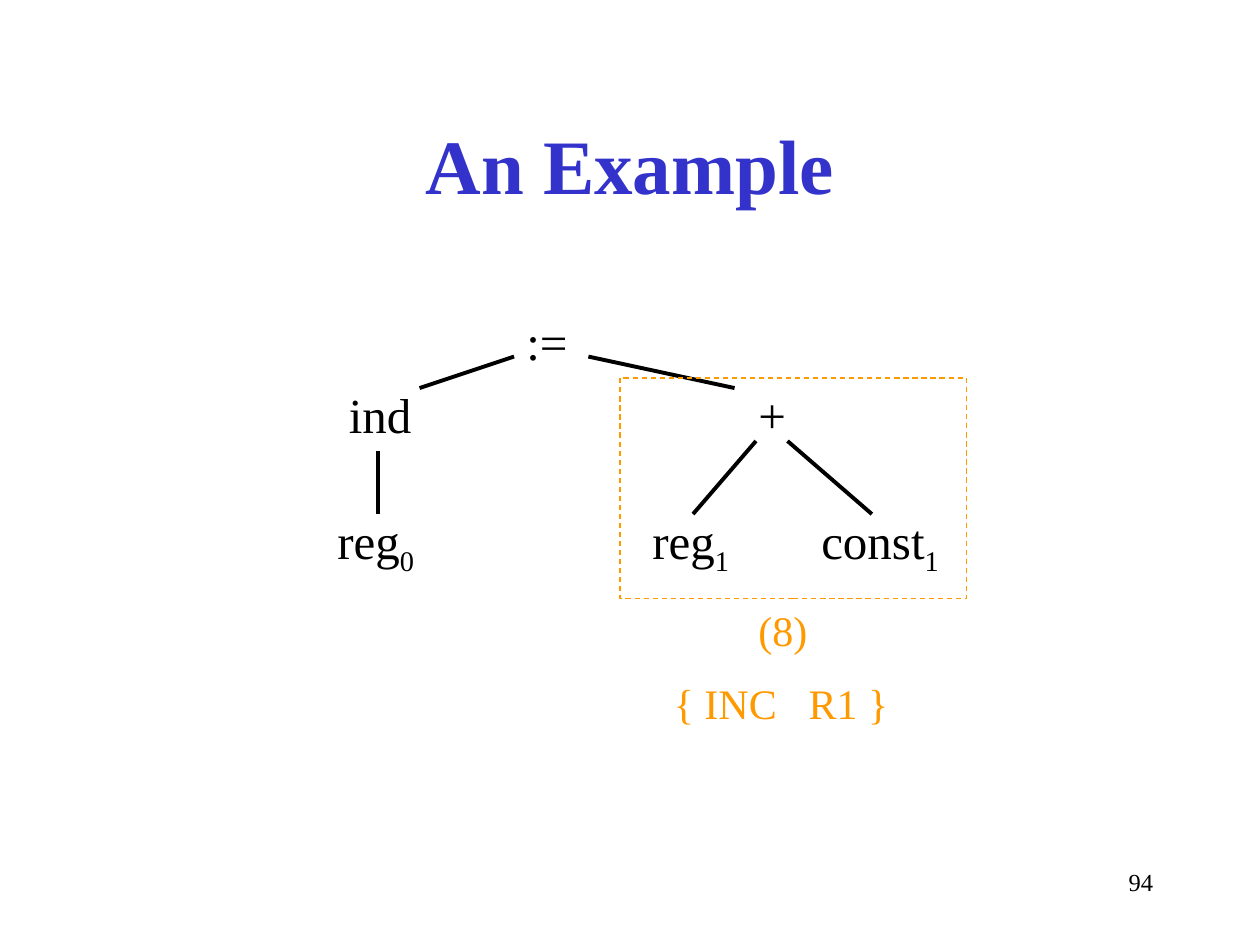
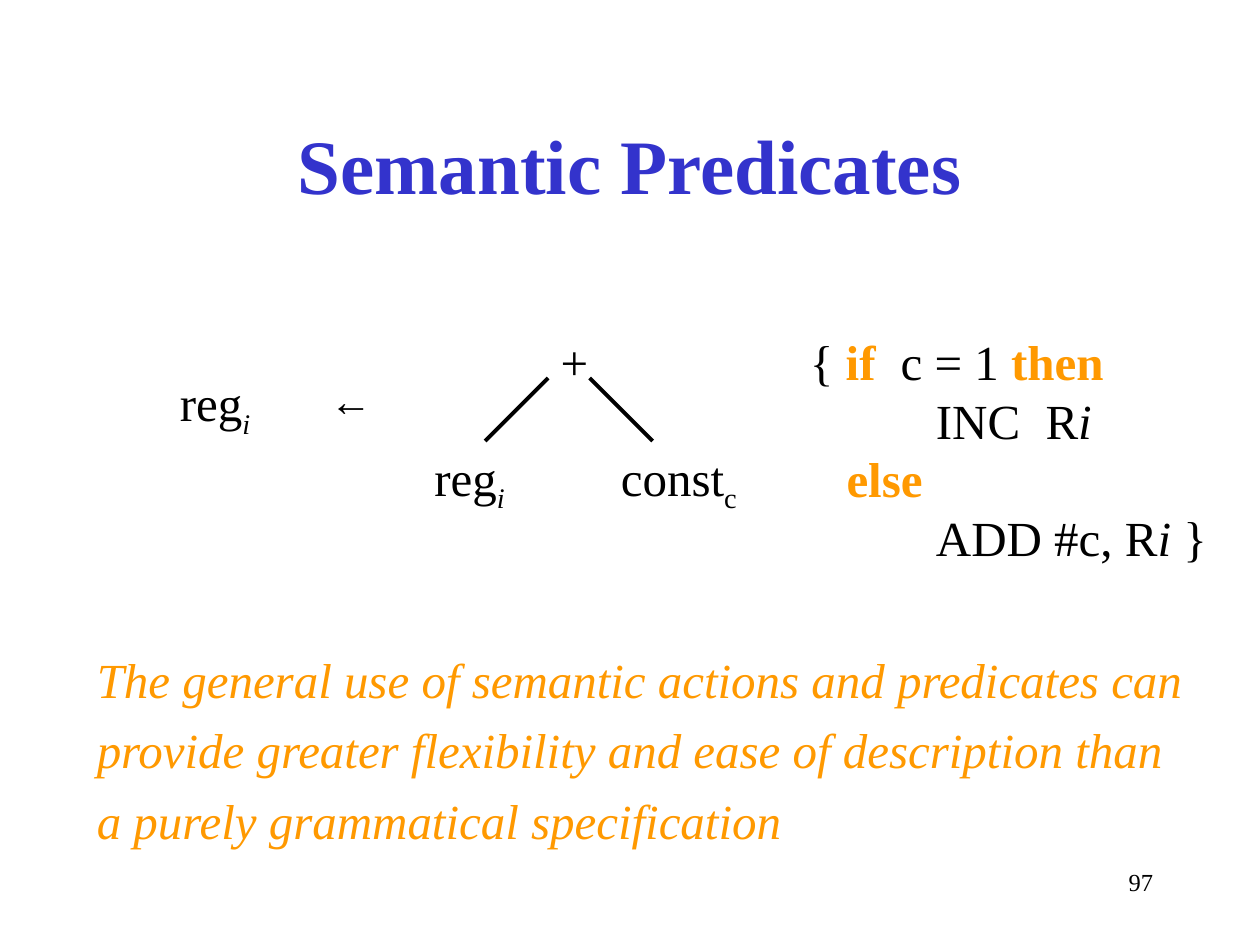
import pptx
import pptx.dml.color
import pptx.enum.dml
import pptx.enum.shapes
import pptx.enum.text
import pptx.util
from lxml import etree
from pptx.oxml.ns import qn

Inches = pptx.util.Inches
ALIGN = pptx.enum.text.PP_ALIGN
ANCHOR = pptx.enum.text.MSO_ANCHOR

FONT = "Times New Roman"
BLACK = pptx.dml.color.RGBColor(0x00, 0x00, 0x00)
BLUE = pptx.dml.color.RGBColor(0x33, 0x33, 0xCC)
ORANGE = pptx.dml.color.RGBColor(0xFF, 0x99, 0x00)

KEYWORD = {"color": ORANGE, "bold": True}
ITALIC = {"italic": True}
SUBSCRIPT = {"subscript": True}
ITALIC_SUBSCRIPT = {"italic": True, "subscript": True}

TITLE_BOX = (0.75, 0.67, 8.5, 1.25)
NUMBER_BOX = (7.17, 6.83, 2.08, 0.5)
LABEL_HEIGHT = 0.57


def add_run(paragraph, text, size, color=BLACK, bold=False, italic=False, subscript=False):
    run = paragraph.add_run()
    run.text = text
    font = run.font
    font.name = FONT
    font.size = pptx.util.Pt(size)
    font.bold = bold
    font.italic = italic
    font.color.rgb = color
    if subscript:
        run._r.get_or_add_rPr().set("baseline", "-25000")


def add_tab_stops(paragraph, stops):
    tab_list = etree.SubElement(paragraph._p.get_or_add_pPr(), qn("a:tabLst"))
    for stop in stops:
        etree.SubElement(tab_list, qn("a:tab"), pos=str(Inches(stop)), algn="l")


def add_text(slide, box, lines, size=28, align=ALIGN.LEFT, anchor=ANCHOR.TOP,
             wrap=False, spacing=None, tab_stops=()):
    shape = slide.shapes.add_textbox(*map(Inches, box))
    frame = shape.text_frame
    frame.word_wrap = wrap
    frame.vertical_anchor = anchor
    for index, runs in enumerate(lines):
        paragraph = frame.paragraphs[0] if index == 0 else frame.add_paragraph()
        paragraph.alignment = align
        if spacing:
            paragraph.line_spacing = spacing
        if index < len(tab_stops):
            add_tab_stops(paragraph, tab_stops[index])
        for text, style in runs:
            add_run(paragraph, text, size, **style)


def add_branch(slide, start, end):
    connector = slide.shapes.add_connector(
        pptx.enum.shapes.MSO_CONNECTOR.STRAIGHT, *map(Inches, start + end))
    connector.line.color.rgb = BLACK
    connector.line.width = pptx.util.Pt(2.25)
    etree.SubElement(connector._element.spPr, qn("a:effectLst"))


def add_tree(slide, left, top, nodes, branches):
    for x, y, width, runs in nodes:
        add_text(slide, (left + x, top + y, width, LABEL_HEIGHT), [runs])
    for x1, y1, x2, y2 in branches:
        add_branch(slide, (left + x1, top + y1), (left + x2, top + y2))


def add_base_slide(presentation, title, number):
    slide = presentation.slides.add_slide(presentation.slide_layouts[6])
    add_text(slide, NUMBER_BOX, [[(number, {})]], size=14, align=ALIGN.RIGHT, wrap=True)
    add_text(slide, TITLE_BOX, [[(title, {"color": BLUE, "bold": True})]], size=44,
             align=ALIGN.CENTER, anchor=ANCHOR.MIDDLE, wrap=True)
    return slide


def add_matched_pattern(slide, left, top, width, height):
    frame = slide.shapes.add_shape(
        pptx.enum.shapes.MSO_SHAPE.RECTANGLE, *map(Inches, (left, top, width, height)))
    frame.shadow.inherit = False
    frame.fill.background()
    frame.line.color.rgb = ORANGE
    frame.line.width = pptx.util.Pt(0.75)
    frame.line.dash_style = pptx.enum.dml.MSO_LINE.DASH
    orange = {"color": ORANGE}
    add_text(slide, (left + 1, top + height, 0.59, 0.5), [[("(8)", orange)]], size=24)
    add_text(slide, (left + 0.33, top + height + 0.58, 1.9, 0.5),
             [[("{ INC\tR1 }", orange)]], size=24, tab_stops=[[1.07]])


def build_example(presentation):
    slide = add_base_slide(presentation, "An Example", "94")
    nodes = [
        (1.5, 0, 0.53, [(":=", {})]),
        (0.09, 0.58, 0.7, [("ind", {})]),
        (3.34, 0.58, 0.42, [("+", {})]),
        (2.5, 1.58, 0.83, [("reg", {}), ("1", SUBSCRIPT)]),
        (3.84, 1.58, 1.15, [("const", {}), ("1", SUBSCRIPT)]),
        (0, 1.58, 0.83, [("reg", {}), ("0", SUBSCRIPT)]),
    ]
    branches = [
        (1.5, 0.41, 0.75, 0.66),
        (2.09, 0.41, 3.25, 0.66),
        (3.42, 1.08, 2.92, 1.66),
        (3.67, 1.08, 4.34, 1.66),
        (0.42, 1.16, 0.42, 1.66),
    ]
    add_tree(slide, 2.58, 2.42, nodes, branches)
    add_matched_pattern(slide, 4.92, 3, 2.75, 1.75)


def add_rule(slide, left, top):
    register = [("reg", {}), ("i", ITALIC_SUBSCRIPT)]
    add_text(slide, (left, top + 0.33, 0.77, LABEL_HEIGHT), [register])
    add_text(slide, (left + 1.19, top + 0.34, 0.53, 0.5), [[("←", {"bold": True})]], size=24)
    nodes = [
        (1, 0, 0.42, [("+", {})]),
        (0, 0.92, 0.77, register),
        (1.48, 0.92, 1.14, [("const", {}), ("c", SUBSCRIPT)]),
    ]
    branches = [(1, 0.42, 0.5, 0.92), (1.33, 0.42, 1.83, 0.92)]
    add_tree(slide, left + 2.02, top, nodes, branches)


def add_action(slide, box):
    lines = [
        [("{ ", {}), ("if", KEYWORD), ("\tc = 1 ", {}), ("then", KEYWORD)],
        [("\tINC\tR", {}), ("i", ITALIC)],
        [("\t", {}), ("else", KEYWORD)],
        [("\tADD #c, R", {}), ("i", ITALIC), (" }", {})],
    ]
    add_text(slide, box, lines, tab_stops=[[0.72], [1, 1.87], [0.29], [1]])


def build_predicates(presentation):
    slide = add_base_slide(presentation, "Semantic Predicates", "97")
    add_rule(slide, 1.33, 2.58)
    add_action(slide, (6.33, 2.58, 3.35, 1.97))
    conclusion = [
        "The general use of semantic actions and predicates can",
        "provide greater flexibility and ease of description than",
        "a purely grammatical specification",
    ]
    style = {"color": ORANGE, "italic": True}
    add_text(slide, (0.67, 5.01, 8.93, 1.78), [[(line, style)] for line in conclusion],
             spacing=1.2)


def main():
    presentation = pptx.Presentation()
    presentation.slide_width = Inches(10)
    presentation.slide_height = Inches(7.5)
    build_example(presentation)
    build_predicates(presentation)
    presentation.save("out.pptx")


if __name__ == "__main__":
    main()
